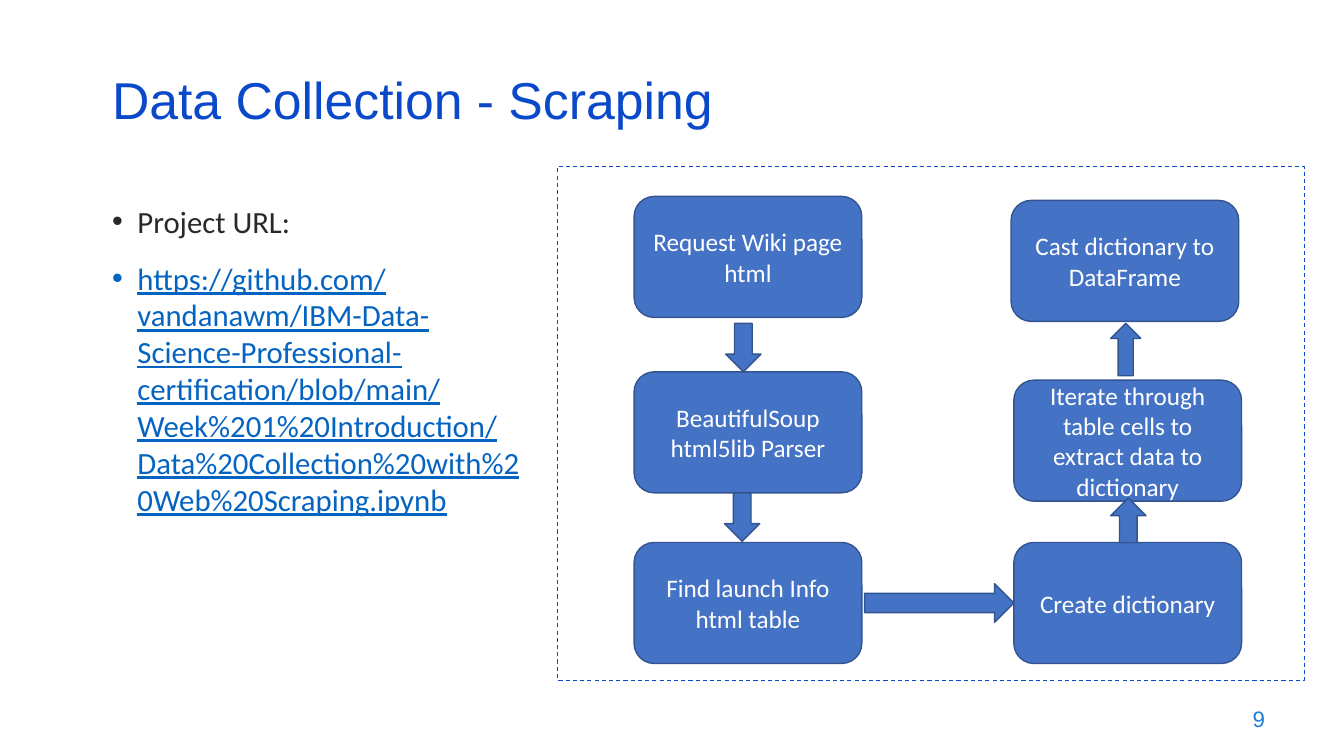
"""Builds the slide on data collection by web scraping."""
import pptx
import pptx.dml.color
import pptx.enum.dml
import pptx.enum.shapes
import pptx.enum.text
import pptx.util
from lxml import etree

Cm = pptx.util.Cm
Pt = pptx.util.Pt
RGBColor = pptx.dml.color.RGBColor
Shape = pptx.enum.shapes.MSO_SHAPE
Align = pptx.enum.text.PP_ALIGN
Anchor = pptx.enum.text.MSO_ANCHOR

TITLE_BLUE = RGBColor(0x0B, 0x49, 0xCB)
NUMBER_BLUE = RGBColor(0x1C, 0x7D, 0xDB)
LINK_BLUE = RGBColor(0x05, 0x63, 0xC1)
FILL_BLUE = RGBColor(0x44, 0x72, 0xC4)
EDGE_BLUE = RGBColor(0x32, 0x54, 0x91)
INK = RGBColor(0x29, 0x29, 0x29)
WHITE = RGBColor(0xFF, 0xFF, 0xFF)

BOX_WIDTH, BOX_HEIGHT = 5.74, 3.05
LINK = (
    "https://github.com/vandanawm/IBM-Data-Science-Professional-certification/"
    "blob/main/Week%201%20Introduction/"
    "Data%20Collection%20with%20Web%20Scraping.ipynb"
)
STEPS = [
    (15.98, 4.95, "Request Wiki page html"),
    (15.98, 9.37, "BeautifulSoup html5lib Parser"),
    (15.98, 13.67, "Find launch Info html table"),
    (25.55, 13.67, "Create dictionary"),
    (25.55, 9.58, "Iterate through table cells to extract data to dictionary"),
    (25.48, 5.05, "Cast dictionary to DataFrame"),
]
ARROWS = [
    (Shape.DOWN_ARROW, 18.29, 8.15, 0.89, 1.22),
    (Shape.DOWN_ARROW, 18.26, 12.42, 0.89, 1.22),
    (Shape.RIGHT_ARROW, 21.79, 14.71, 3.76, 0.97),
    (Shape.UP_ARROW, 27.99, 12.55, 0.89, 1.12),
    (Shape.UP_ARROW, 27.99, 8.15, 0.76, 1.32),
]


class SlideBuilder:
    """Holds the style and the current slide."""

    heading_font = "Arial"
    text_font = "Calibri"

    def __init__(self, presentation):
        self.slide = presentation.slides.add_slide(presentation.slide_layouts[1])

    def place(self, shape, left, top, width, height):
        """Moves a shape to a place given in centimetres."""
        shape.left, shape.top = Cm(left), Cm(top)
        shape.width, shape.height = Cm(width), Cm(height)

    def format(self, paragraph, name, size, color, alignment):
        """Sets the font and alignment of a paragraph."""
        paragraph.alignment = alignment
        paragraph.font.name = name
        paragraph.font.size = Pt(size)
        paragraph.font.color.rgb = color

    def title(self, text, *place):
        """Fills the title placeholder."""
        shape = self.slide.shapes.title
        self.place(shape, *place)
        frame = shape.text_frame
        frame.text = text
        frame.auto_size = pptx.enum.text.MSO_AUTO_SIZE.NONE
        frame.vertical_anchor = Anchor.MIDDLE
        paragraph = frame.paragraphs[0]
        paragraph.line_spacing = 0.7
        self.format(paragraph, self.heading_font, 37, TITLE_BLUE, Align.LEFT)

    def bullets(self, items, *place):
        """Fills the body placeholder with a bulleted list."""
        shape = self.slide.placeholders[1]
        self.place(shape, *place)
        frame = shape.text_frame
        frame.text = "\n".join(text for text, color, underline in items)
        frame.auto_size = pptx.enum.text.MSO_AUTO_SIZE.NONE
        for index, (text, color, underline) in enumerate(items):
            paragraph = frame.paragraphs[index]
            paragraph.space_before = Pt(14 if index else 0)
            properties = paragraph._p.get_or_add_pPr()
            properties.set("marL", str(Cm(0.64)))
            properties.set("indent", str(Cm(-0.64)))
            bullet = etree.SubElement(properties, pptx.oxml.ns.qn("a:buChar"))
            bullet.set("char", "•")
            self.format(paragraph, self.text_font, 22, color, Align.LEFT)
            paragraph.font.underline = underline

    def panel(self, *place):
        """Adds the dashed frame around the flow chart."""
        shape = self.slide.shapes.add_shape(Shape.RECTANGLE, *map(Cm, place))
        shape.shadow.inherit = False
        shape.fill.background()
        shape.line.color.rgb = TITLE_BLUE
        shape.line.width = Pt(0.75)
        shape.line.dash_style = pptx.enum.dml.MSO_LINE.DASH

    def block(self, kind, *place):
        """Adds a filled shape of the flow chart."""
        shape = self.slide.shapes.add_shape(kind, *map(Cm, place))
        shape.shadow.inherit = False
        shape.fill.solid()
        shape.fill.fore_color.rgb = FILL_BLUE
        shape.line.color.rgb = EDGE_BLUE
        shape.line.width = Pt(1)
        return shape

    def step(self, left, top, text):
        """Adds a labelled step of the flow chart."""
        shape = self.block(Shape.ROUNDED_RECTANGLE, left, top, BOX_WIDTH, BOX_HEIGHT)
        frame = shape.text_frame
        frame.word_wrap = True
        frame.vertical_anchor = Anchor.MIDDLE
        frame.text = text
        self.format(frame.paragraphs[0], self.text_font, 18, WHITE, Align.CENTER)

    def page_number(self, text, *place):
        """Adds the page number."""
        frame = self.slide.shapes.add_textbox(*map(Cm, place)).text_frame
        frame.word_wrap = True
        frame.vertical_anchor = Anchor.MIDDLE
        frame.text = text
        self.format(frame.paragraphs[0], self.heading_font, 16, NUMBER_BLUE, Align.RIGHT)


def main():
    """Builds and saves the presentation."""
    presentation = pptx.Presentation()
    presentation.slide_width, presentation.slide_height = Cm(33.87), Cm(19.05)
    builder = SlideBuilder(presentation)
    builder.page_number("9", 24.51, 17.55, 7.62, 1.12)
    builder.bullets(
        [("Project URL:", INK, False), (LINK, LINK_BLUE, True)],
        2.57, 4.98, 10.92, 10.59,
    )
    builder.title("Data Collection - Scraping", 2.57, 1.93, 29.21, 1.52)
    builder.panel(14.05, 4.19, 18.82, 12.95)
    for step in STEPS:
        builder.step(*step)
    for arrow in ARROWS:
        builder.block(*arrow)
    presentation.save("out.pptx")


if __name__ == "__main__":
    main()
